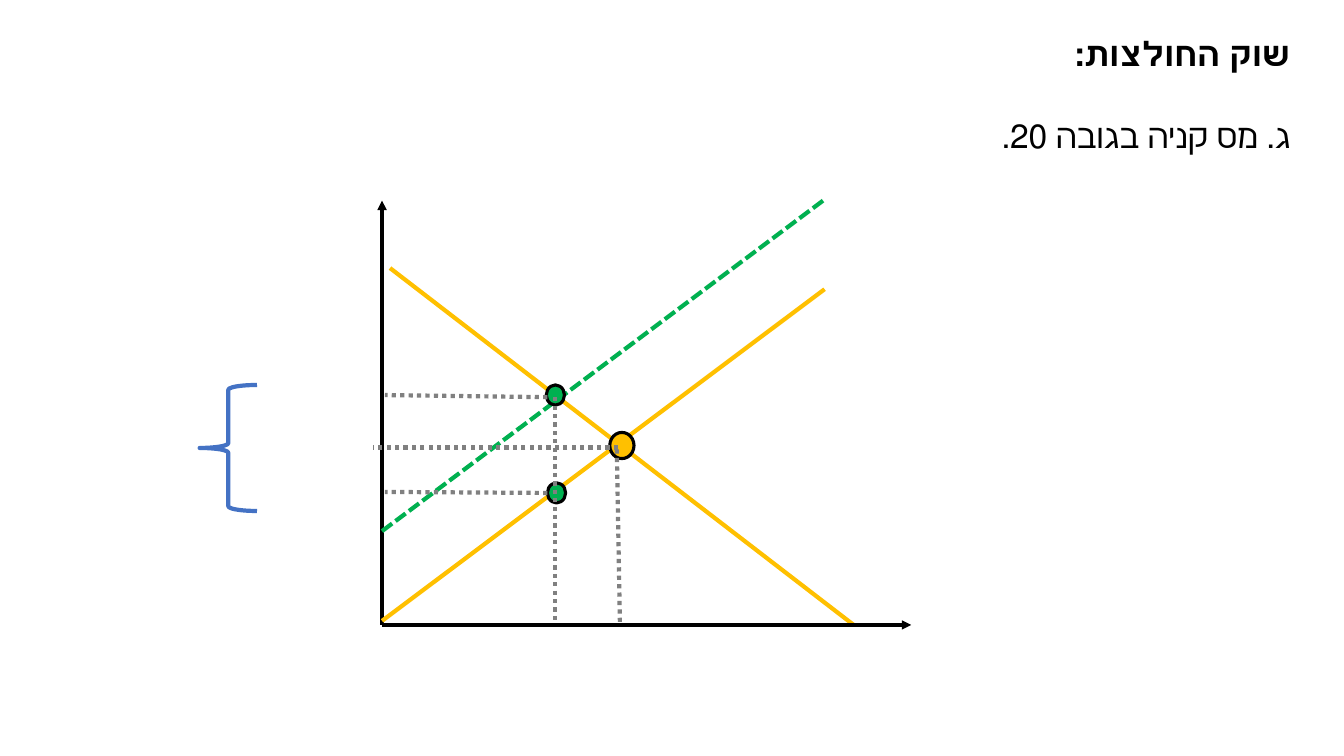
"""Build a supply and demand slide showing a purchase tax on the shirt market."""
from pptx import Presentation
from pptx.dml.color import RGBColor
from pptx.enum.dml import MSO_LINE
from pptx.enum.shapes import MSO_CONNECTOR, MSO_SHAPE
from pptx.enum.text import MSO_ANCHOR, PP_ALIGN
from pptx.oxml.ns import qn
from pptx.util import Pt
from lxml import etree

STRAIGHT = MSO_CONNECTOR.STRAIGHT
ELLIPSE, LEFT_BRACE = MSO_SHAPE.OVAL, MSO_SHAPE.LEFT_BRACE
DASH, DOT = MSO_LINE.SQUARE_DOT, MSO_LINE.ROUND_DOT
RIGHT, TOP = PP_ALIGN.RIGHT, MSO_ANCHOR.TOP
TITLE_ONLY = 5

COLORS = {"black": "000000", "market": "FFC000", "tax": "00B050",
          "guide": "808080", "brace": "4472C4"}
FONT, FONT_SIZE = "Calibri", 24

TITLE = "שוק החולצות:"
QUESTION = "ג. מס קניה בגובה 20."
TEXT_LEFT, TEXT_WIDTH, TEXT_HEIGHT = 706.4, 222.4, 36.2
TITLE_TOP, QUESTION_TOP = 20.2, 78.6

ORIGIN_X, ORIGIN_Y = 272.9, 446.4
AXES = [(ORIGIN_X, 143.3), (650.9, ORIGIN_Y)]
DEMAND = (278.6, 191.5, 609.8, ORIGIN_Y)
SUPPLY = (ORIGIN_X, 443.5, 589, 206.6)
TAX_SHIFT = 64.1
EQUILIBRIUM = (435.6, 308.9, 17.3, 18.7, "market")
TAXED_POINTS = [(390.2, 275, 13, 14.4, "tax"), (391, 344.9, 13, 14.4, "tax")]
GUIDES = [
    (440.6, 321.1, 442.8, 445),
    (441.4, 319.7, 266.4, 319.7),
    (396.7, 283.7, 396.7, 442.8),
    (391, 283.7, 275, 282.2),
    (391, 352.1, 275, 351.4),
]
BRACE = (142.6, 275, 41, 90)


def color(name):
    return RGBColor.from_string(COLORS[name])


def add_line(slide, ends, color_name, width=3, dash=None, arrow=False):
    connector = slide.shapes.add_connector(STRAIGHT, *[Pt(value) for value in ends])
    connector.line.color.rgb = color(color_name)
    connector.line.width = Pt(width)
    if dash is not None:
        connector.line.dash_style = dash
    if arrow:
        etree.SubElement(connector.line._get_or_add_ln(), qn("a:tailEnd"), type="triangle")
    etree.SubElement(connector._element.spPr, qn("a:effectLst"))


def add_outline(slide, preset, box, line_name, width):
    shape = slide.shapes.add_shape(preset, *[Pt(value) for value in box])
    shape.shadow.inherit = False
    shape.fill.background()
    shape.line.color.rgb = color(line_name)
    shape.line.width = Pt(width)
    return shape


def write_text(shape, text, bold):
    text_frame = shape.text_frame
    text_frame.text = text
    text_frame.word_wrap = False
    text_frame.vertical_anchor = TOP
    paragraph = text_frame.paragraphs[0]
    paragraph.alignment = RIGHT
    paragraph._p.get_or_add_pPr().set("rtl", "1")
    font = paragraph.runs[0].font
    font.name, font.size, font.bold = FONT, Pt(FONT_SIZE), bold
    font.color.rgb = color("black")


def main():
    presentation = Presentation()
    presentation.slide_width, presentation.slide_height = Pt(960), Pt(540)
    slide = presentation.slides.add_slide(presentation.slide_layouts[TITLE_ONLY])

    title = slide.shapes.title
    title.left, title.top = Pt(TEXT_LEFT), Pt(TITLE_TOP)
    title.width, title.height = Pt(TEXT_WIDTH), Pt(TEXT_HEIGHT)
    write_text(title, TITLE, True)
    question = slide.shapes.add_textbox(
        Pt(TEXT_LEFT), Pt(QUESTION_TOP), Pt(TEXT_WIDTH), Pt(TEXT_HEIGHT))
    write_text(question, QUESTION, False)

    add_line(slide, DEMAND, "market")
    for end in AXES:
        add_line(slide, (ORIGIN_X, ORIGIN_Y, *end), "black", 2.25, arrow=True)
    add_line(slide, SUPPLY, "market")
    start_x, start_y, end_x, end_y = SUPPLY
    taxed_supply = (start_x, start_y - TAX_SHIFT, end_x, end_y - TAX_SHIFT)
    add_line(slide, taxed_supply, "tax", dash=DASH)

    for *box, fill_name in [EQUILIBRIUM, *TAXED_POINTS]:
        point = add_outline(slide, ELLIPSE, box, "black", 2.25)
        point.fill.solid()
        point.fill.fore_color.rgb = color(fill_name)
    for guide in GUIDES:
        add_line(slide, guide, "guide", dash=DOT)
    add_outline(slide, LEFT_BRACE, BRACE, "brace", 3)

    presentation.save("out.pptx")


if __name__ == "__main__":
    main()
